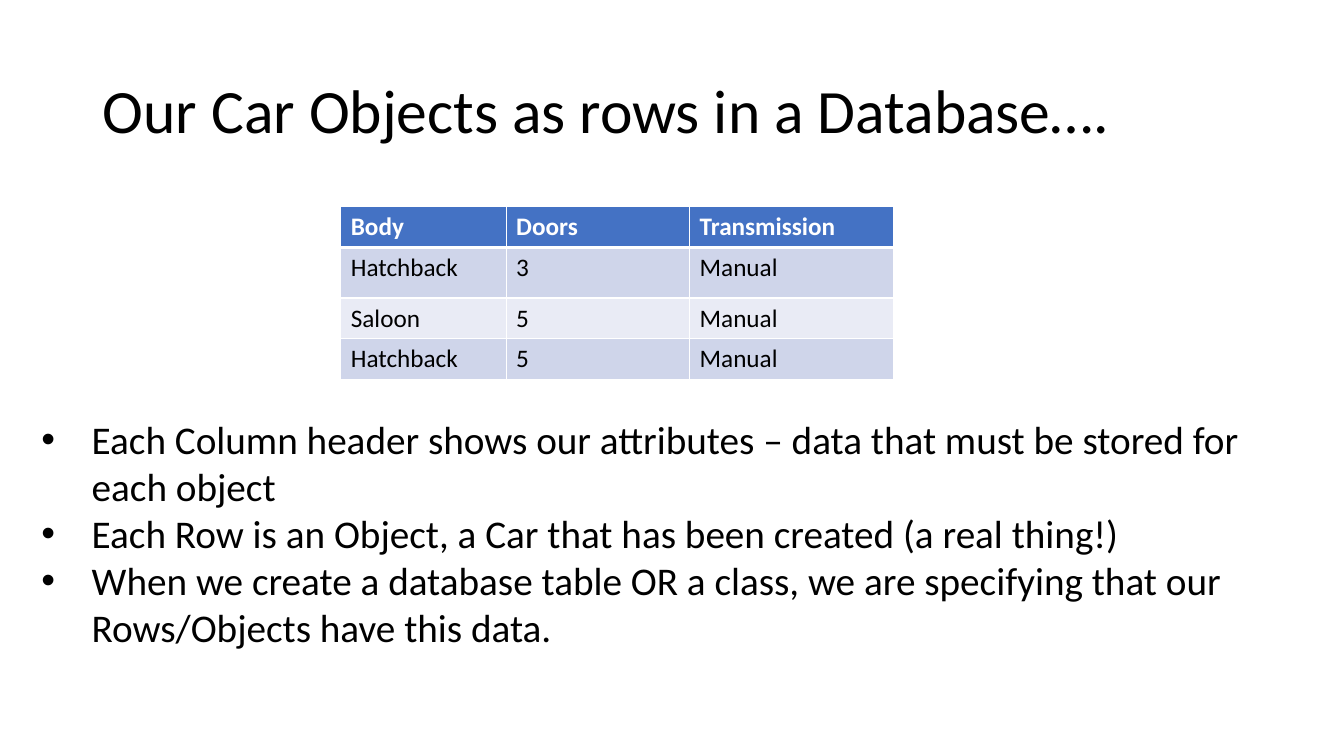
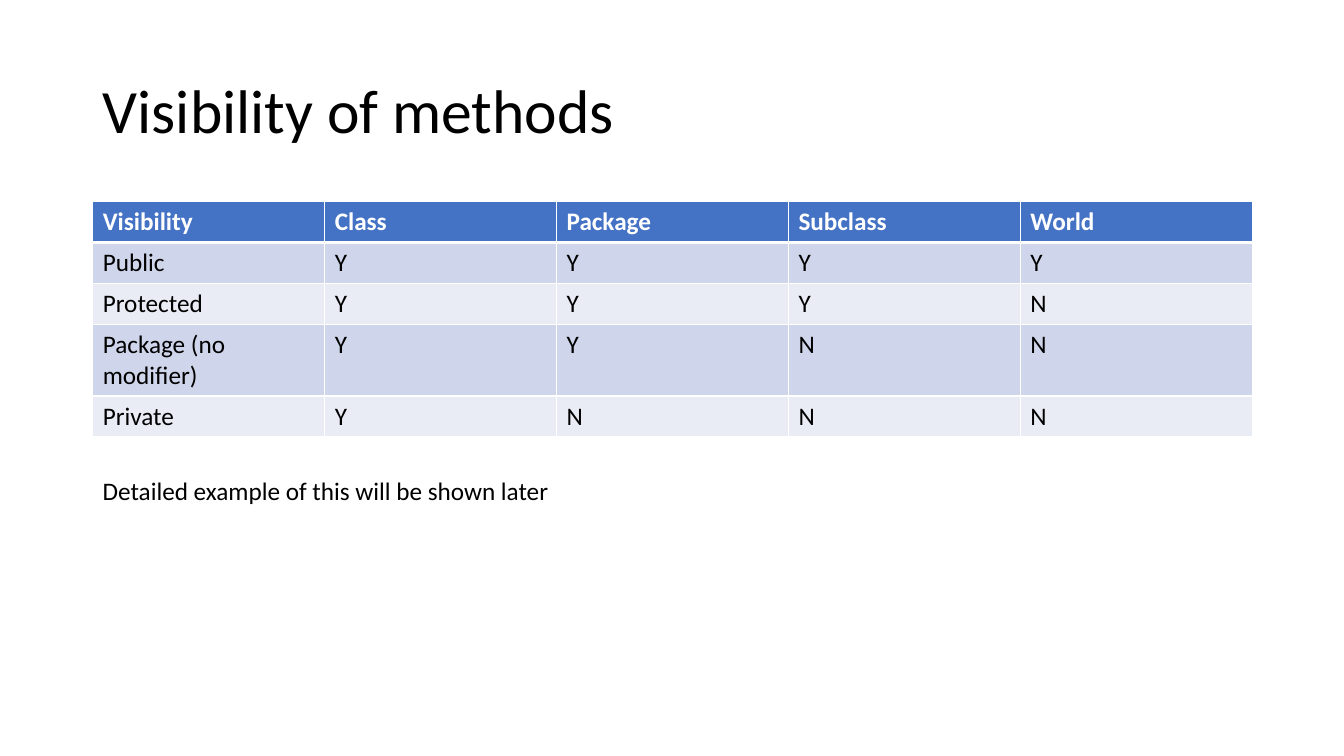
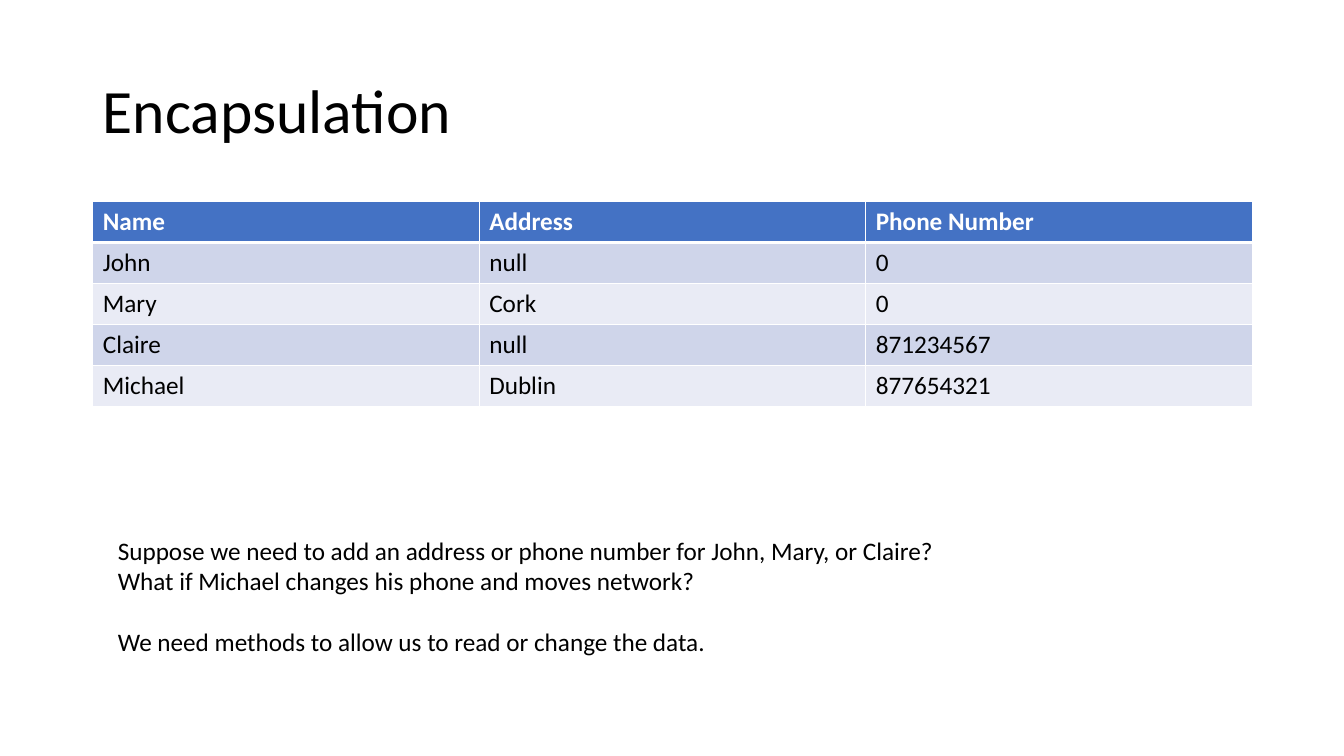
from dataclasses import dataclass

from lxml import etree
from pptx import Presentation
from pptx.dml.color import RGBColor
from pptx.enum import text as tx
from pptx.oxml import ns
from pptx.util import Inches, Pt

# Shared look
FONT = "Calibri"
BLACK = RGBColor(0x00, 0x00, 0x00)
WHITE = RGBColor(0xFF, 0xFF, 0xFF)
HEADER_BLUE = RGBColor(0x44, 0x72, 0xC4)
BANDS = (RGBColor(0xCF, 0xD5, 0xEA), RGBColor(0xE9, 0xEB, 0xF5))

TITLE_FONT = {"name": FONT, "size": Pt(44)}
LIST_FONT = {"name": FONT, "size": Pt(28)}
NOTE_FONT = {"name": FONT, "size": Pt(18)}
HEADER_FONT = {"name": FONT, "size": Pt(18), "bold": True}
CELL_FONT = {"name": FONT, "size": Pt(18), "bold": False}

TITLE_BOX = (0.92, 0.4, 11.5, 1.45)
ROW_HEIGHT = 2.03 / 5
LAYOUT_LIST, LAYOUT_TITLE_ONLY = 1, 5


@dataclass
class Grid:
    left: float
    top: float
    widths: list[float]
    rows: list[list[str]]
    first_row_height: float = ROW_HEIGHT


@dataclass
class Passage:
    box: tuple[float, float, float, float]
    lines: list[str]
    bulleted: bool = False
    wrap: bool = True
    gap_before_last: float = 0


@dataclass
class Page:
    title: str
    grid: Grid
    passage: Passage


def place(shape, box) -> None:
    for side, length in zip(("left", "top", "width", "height"), box):
        setattr(shape, side, Inches(length))


def format_font(font, values: dict, color: RGBColor = BLACK) -> None:
    for attribute, value in values.items():
        setattr(font, attribute, value)
    font.color.rgb = color


def add_borders(cell, bottom_width: float) -> None:
    """White rules round a cell; they must stand before its fill."""
    properties = cell._tc.get_or_add_tcPr()
    for index, side in enumerate(("lnL", "lnR", "lnT", "lnB")):
        width = bottom_width if side == "lnB" else 1
        rule = etree.Element(ns.qn(f"a:{side}"), w=str(Pt(width)))
        solid = etree.SubElement(rule, ns.qn("a:solidFill"))
        etree.SubElement(solid, ns.qn("a:srgbClr"), val=str(WHITE))
        properties.insert(index, rule)


def add_title(slide, title: str) -> None:
    heading = slide.shapes.title
    place(heading, TITLE_BOX)
    heading.text_frame.text = title
    heading.text_frame.vertical_anchor = tx.MSO_ANCHOR.MIDDLE
    line = heading.text_frame.paragraphs[0]
    line.alignment = tx.PP_ALIGN.LEFT
    line.line_spacing = 0.9
    format_font(line.runs[0].font, TITLE_FONT)


def add_grid(slide, grid: Grid) -> None:
    count = len(grid.rows)
    table = slide.shapes.add_table(
        count, len(grid.widths), Inches(grid.left), Inches(grid.top),
        Inches(sum(grid.widths)), Inches(ROW_HEIGHT * count)).table
    for column, width in zip(table.columns, grid.widths):
        column.width = Inches(width)
    table.rows[1].height = Inches(grid.first_row_height)

    for r, row in enumerate(grid.rows):
        header = r == 0
        for c, words in enumerate(row):
            cell = table.cell(r, c)
            cell.text = words
            cell.fill.solid()
            cell.fill.fore_color.rgb = HEADER_BLUE if header else BANDS[(r - 1) % 2]
            format_font(cell.text_frame.paragraphs[0].runs[0].font,
                        HEADER_FONT if header else CELL_FONT,
                        WHITE if header else BLACK)
            add_borders(cell, 3 if header else 1)


def add_bullet(line) -> None:
    properties = line._p.get_or_add_pPr()
    properties.set("marL", str(Inches(0.5)))
    properties.set("indent", str(Inches(-0.5)))
    etree.SubElement(properties, ns.qn("a:buFont"), typeface="Arial")
    etree.SubElement(properties, ns.qn("a:buChar"), char="•")


def add_passage(slide, passage: Passage) -> None:
    if passage.bulleted:
        body = slide.placeholders[1]
        place(body, passage.box)
    else:
        body = slide.shapes.add_textbox(*map(Inches, passage.box))
    frame = body.text_frame
    frame.text = "\n".join(passage.lines)
    frame.word_wrap = passage.wrap
    frame.auto_size = tx.MSO_AUTO_SIZE.SHAPE_TO_FIT_TEXT
    for line in frame.paragraphs:
        line.space_before = Pt(0)
        format_font(line.runs[0].font, LIST_FONT if passage.bulleted else NOTE_FONT)
        if passage.bulleted:
            add_bullet(line)
    frame.paragraphs[-1].space_before = Pt(passage.gap_before_last)


# Content
PAGES = [
    Page(
        "Our Car Objects as rows in a Database….",
        Grid(3.38, 2.05, [1.64, 1.82, 2.02], [
            ["Body", "Doors", "Transmission"],
            ["Hatchback", "3", "Manual"],
            ["Saloon", "5", "Manual"],
            ["Hatchback", "5", "Manual"],
        ], first_row_height=0.5),
        Passage((0.31, 4.07, 12.51, 2.46), [
            "Each Column header shows our attributes – data that must be stored for each object",
            "Each Row is an Object, a Car that has been created (a real thing!)",
            "When we create a database table OR a class, we are specifying that our "
            "Rows/Objects have this data.",
        ], bulleted=True),
    ),
    Page(
        "Visibility of methods",
        Grid(0.92, 2, [11.5 / 5] * 5, [
            ["Visibility", "Class", "Package", "Subclass", "World"],
            ["Public", "Y", "Y", "Y", "Y"],
            ["Protected", "Y", "Y", "Y", "N"],
            ["Package (no modifier)", "Y", "Y", "N", "N"],
            ["Private", "Y", "N", "N", "N"],
        ]),
        Passage((0.92, 4.67, 11.64, 0.4), ["Detailed example of this will be shown later"]),
    ),
    Page(
        "Encapsulation",
        Grid(0.92, 2, [11.5 / 3] * 3, [
            ["Name", "Address", "Phone Number"],
            ["John", "null", "0"],
            ["Mary", "Cork", "0"],
            ["Claire", "null", "871234567"],
            ["Michael", "Dublin", "877654321"],
        ]),
        Passage((1.07, 5.26, 8.4, 1.31), [
            "Suppose we need to add an address or phone number for John, Mary, or Claire?",
            "What if Michael changes his phone and moves network?",
            "We need methods to allow us to read or change the data.",
        ], wrap=False, gap_before_last=22),
    ),
]


def main() -> None:
    deck = Presentation()
    deck.slide_width, deck.slide_height = Inches(13.33), Inches(7.5)
    for page in PAGES:
        layout = LAYOUT_LIST if page.passage.bulleted else LAYOUT_TITLE_ONLY
        slide = deck.slides.add_slide(deck.slide_layouts[layout])
        add_title(slide, page.title)
        add_grid(slide, page.grid)
        add_passage(slide, page.passage)
    deck.save("out.pptx")


if __name__ == "__main__":
    main()
